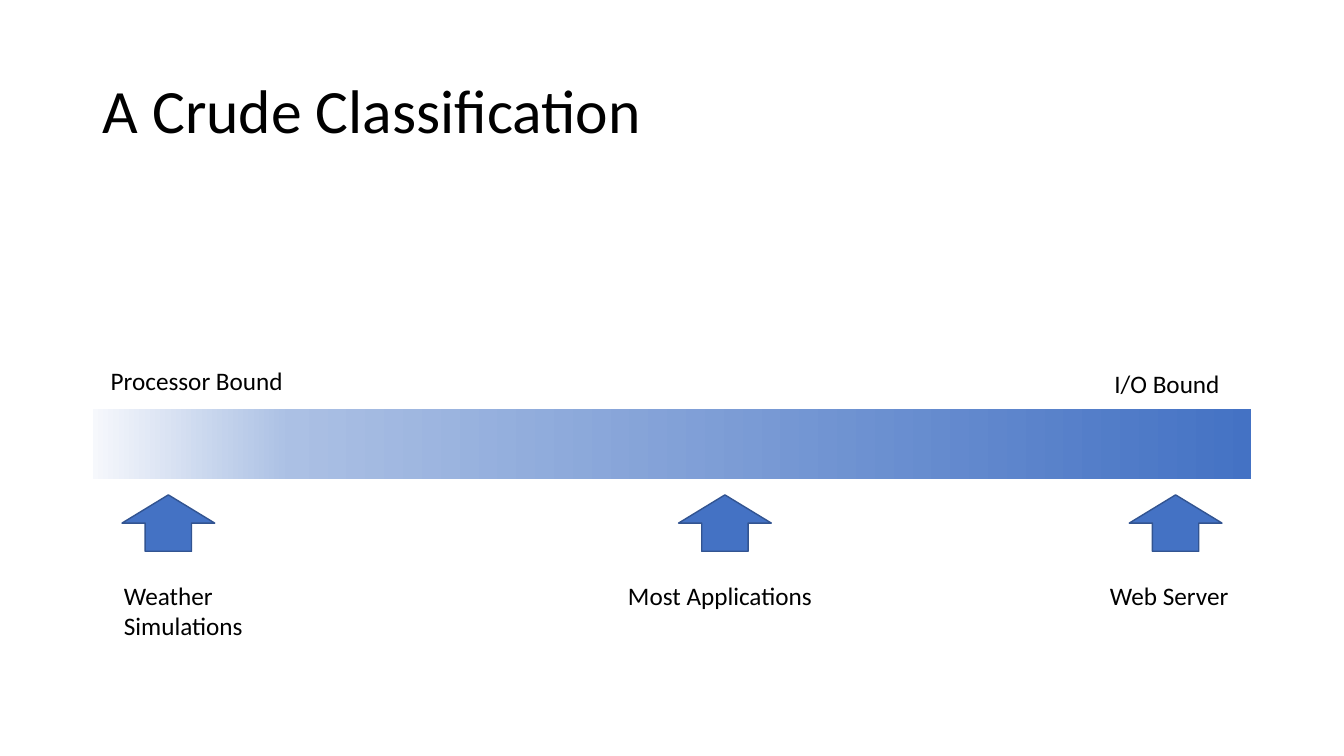
import pptx
import pptx.util
import pptx.dml.color
import pptx.enum.shapes
import pptx.enum.text
import pptx.oxml.ns
import lxml.etree

Inches = pptx.util.Inches
RGBColor = pptx.dml.color.RGBColor
Shapes = pptx.enum.shapes.MSO_SHAPE
Align = pptx.enum.text.PP_ALIGN
Anchor = pptx.enum.text.MSO_ANCHOR

BLACK = RGBColor(0x00, 0x00, 0x00)
WHITE = RGBColor(0xFF, 0xFF, 0xFF)
BLUE = RGBColor(0x44, 0x72, 0xC4)
NAVY = RGBColor(0x32, 0x54, 0x91)
SKY = RGBColor(0xAB, 0xC0, 0xE4)
FROST = RGBColor(0xF6, 0xF8, 0xFC)
PALE = RGBColor(0xC7, 0xD5, 0xED)

TITLE = "A Crude Classification"
SPECTRUM_STOPS = [(0, BLUE), (83, SKY), (100, FROST), (100, PALE)]
ENDS = [
    ("Processor Bound", 1, 3.58, 1.93, Align.LEFT),
    ("I/O Bound", 10.81, 3.6, 1.53, Align.CENTER),
]
EXAMPLES = [
    ("Weather Simulations", 1.21, 1.13, 1.65, 0.71),
    ("Most Applications", 6.73, 6.13, 2.12, 0.4),
    ("Web Server", 11.2, 10.91, 1.65, 0.4),
]
MARGIN, CONTENT_WIDTH = 0.92, 11.5
ARROW_TOP, ARROW_WIDTH, ARROW_HEIGHT = 4.91, 0.92, 0.56
EXAMPLE_TOP, LABEL_HEIGHT = 5.71, 0.4

deck = pptx.Presentation()
deck.slide_width, deck.slide_height = Inches(13.33), Inches(7.5)
page = deck.slides.add_slide(deck.slide_layouts[6])


def apply(target, values):
    for name, value in values.items():
        setattr(target, name, value)


def add_text(text, area, size=18, frame_format=None, para_format=None):
    box = page.shapes.add_textbox(*map(Inches, area))
    apply(box.text_frame, {"word_wrap": True, **(frame_format or {})})
    para = box.text_frame.paragraphs[0]
    apply(para, para_format or {})
    span = para.add_run()
    span.text = text
    apply(span.font, {"name": "Calibri", "size": pptx.util.Pt(size)})
    span.font.color.rgb = BLACK


def add_outlined(kind, area, line_color):
    shape = page.shapes.add_shape(kind, *map(Inches, area))
    shape.shadow.inherit = False
    shape.line.color.rgb = line_color
    shape.line.width = pptx.util.Pt(1)
    return shape


def set_gradient(shape, stops, angle):
    qn = pptx.oxml.ns.qn
    shape.fill.gradient()
    shape.fill.gradient_angle = angle
    stop_list = shape._element.spPr.find(qn("a:gradFill")).find(qn("a:gsLst"))
    for stop in list(stop_list):
        stop_list.remove(stop)
    for percent, color in stops:
        stop = lxml.etree.SubElement(stop_list, qn("a:gs"), pos=str(percent * 1000))
        lxml.etree.SubElement(stop, qn("a:srgbClr"), val=str(color))


add_text(TITLE, (MARGIN, 0.4, CONTENT_WIDTH, 1.45), 44,
         {"vertical_anchor": Anchor.MIDDLE}, {"line_spacing": 0.9})

spectrum = add_outlined(Shapes.RECTANGLE, (MARGIN, 4.05, CONTENT_WIDTH, 0.71), WHITE)
set_gradient(spectrum, SPECTRUM_STOPS, 180)

for label, left, top, width, alignment in ENDS:
    add_text(label, (left, top, width, LABEL_HEIGHT),
             para_format={"alignment": alignment})

for label, arrow_left, left, width, height in EXAMPLES:
    arrow = add_outlined(Shapes.UP_ARROW,
                         (arrow_left, ARROW_TOP, ARROW_WIDTH, ARROW_HEIGHT), NAVY)
    arrow.fill.solid()
    arrow.fill.fore_color.rgb = BLUE
    add_text(label, (left, EXAMPLE_TOP, width, height))

deck.save("out.pptx")
